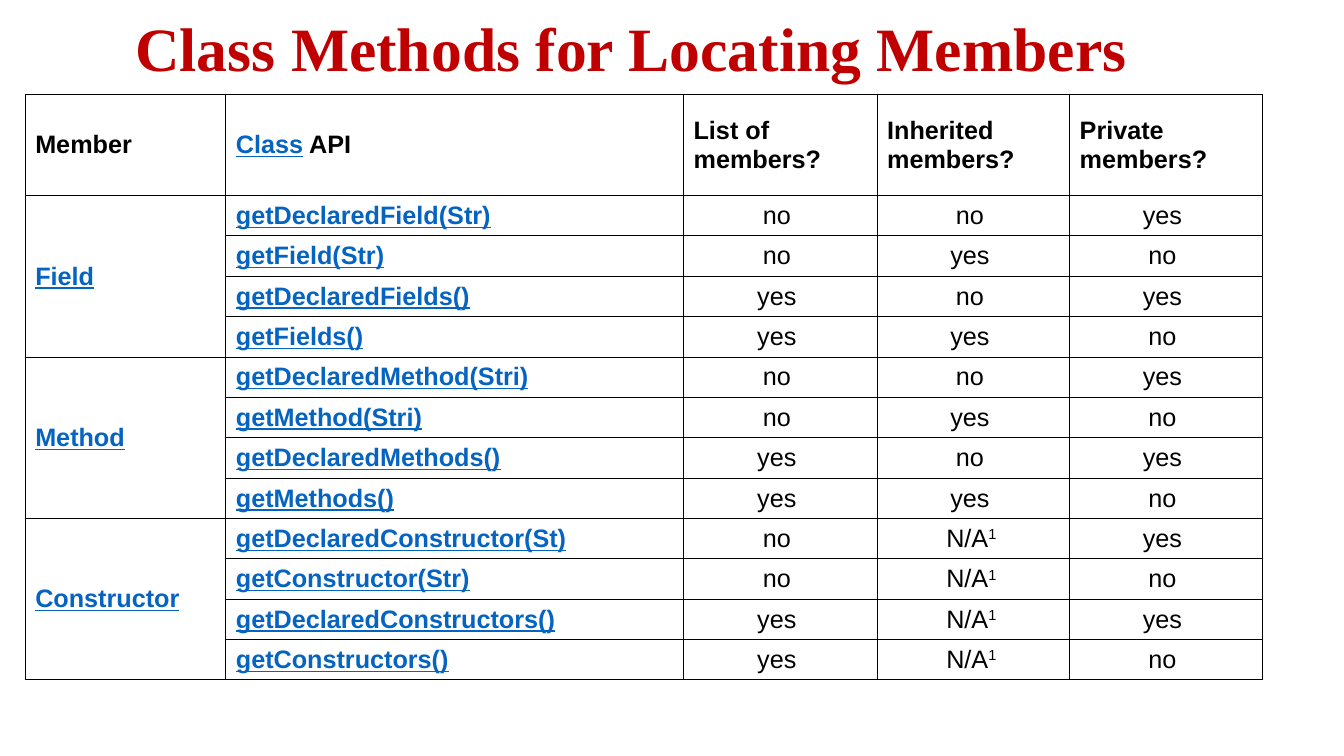
from dataclasses import dataclass

from lxml.etree import SubElement
from pptx import Presentation
from pptx.dml.color import RGBColor
from pptx.enum.text import MSO_ANCHOR, MSO_AUTO_SIZE, PP_ALIGN
from pptx.oxml.ns import qn
from pptx.slide import Slide
from pptx.table import Table, _Cell
from pptx.util import Emu, Pt

COLORS = {"title": "C00000", "text": "000000", "link": "0563C1", "border": "000000"}
EMU_PER_PX = 9144  # 100 px to the inch
COLUMN_WIDTHS = (199, 454, 192, 191, 191)
HEADER_HEIGHT, ROW_HEIGHT = 100, 40


@dataclass(frozen=True)
class Span:
    text: str
    link: bool = False
    superscript: bool = False


@dataclass(frozen=True)
class MemberGroup:
    name: str
    methods: tuple[str, ...]
    has_inheritance: bool = True


@dataclass(frozen=True)
class Access:
    lists_members: bool
    inherited: bool
    private: bool


HEADERS = (
    (Span("Member"),),
    (Span("Class", link=True), Span(" API")),
    (Span("List of members?"),),
    (Span("Inherited members?"),),
    (Span("Private members?"),),
)
GROUPS = (
    MemberGroup("Field", ("getDeclaredField(Str)", "getField(Str)",
                          "getDeclaredFields()", "getFields()")),
    MemberGroup("Method", ("getDeclaredMethod(Stri)", "getMethod(Stri)",
                           "getDeclaredMethods()", "getMethods()")),
    MemberGroup("Constructor", ("getDeclaredConstructor(St)", "getConstructor(Str)",
                                "getDeclaredConstructors()", "getConstructors()"),
                has_inheritance=False),
)
# Every group offers its four methods in this order
ACCESS_PATTERN = (
    Access(lists_members=False, inherited=False, private=True),
    Access(lists_members=False, inherited=True, private=False),
    Access(lists_members=True, inherited=False, private=True),
    Access(lists_members=True, inherited=True, private=False),
)


def px(length: int) -> Emu:
    return Emu(length * EMU_PER_PX)


def color(name: str) -> RGBColor:
    return RGBColor.from_string(COLORS[name])


def link_spans(text: str) -> tuple[Span, ...]:
    return Span(text, link=True), Span(" ")


def answer_spans(answer: bool) -> tuple[Span, ...]:
    return (Span("yes " if answer else "no "),)


def add_borders(cell: _Cell) -> None:
    properties = cell._tc.get_or_add_tcPr()
    for position, side in enumerate(("a:lnL", "a:lnR", "a:lnT", "a:lnB")):
        line = SubElement(properties, qn(side), w=str(Pt(0.75)))
        fill = SubElement(line, qn("a:solidFill"))
        SubElement(fill, qn("a:srgbClr"), val=COLORS["border"])
        properties.insert(position, line)


def write_cell(cell: _Cell, spans: tuple[Span, ...], bold: bool = True,
               alignment: PP_ALIGN = PP_ALIGN.LEFT) -> None:
    cell.vertical_anchor = MSO_ANCHOR.MIDDLE
    paragraph = cell.text_frame.paragraphs[0]
    paragraph.alignment = alignment
    paragraph.font.name = "Arial"
    paragraph.font.size = Pt(18)
    paragraph.font.bold = bold
    for span in spans:
        run = paragraph.add_run()
        run.text = span.text
        run.font.color.rgb = color("link" if span.link else "text")
        if span.link:
            run.font.underline = True
        if span.superscript:
            run._r.get_or_add_rPr().set("baseline", "30000")


def add_title(slide: Slide) -> None:
    title = slide.shapes.title
    title.left, title.top, title.width, title.height = px(120), px(4), px(1028), px(84)
    frame = title.text_frame
    frame.word_wrap = False
    frame.auto_size = MSO_AUTO_SIZE.SHAPE_TO_FIT_TEXT
    frame.vertical_anchor = MSO_ANCHOR.MIDDLE
    frame.text = "Class Methods for Locating Members "
    paragraph = frame.paragraphs[0]
    paragraph.alignment = PP_ALIGN.CENTER
    paragraph.font.name = "Times New Roman"
    paragraph.font.size = Pt(44)
    paragraph.font.bold = True
    paragraph.font.color.rgb = color("title")


def add_grid(slide: Slide) -> Table:
    method_count = sum(len(group.methods) for group in GROUPS)
    table = slide.shapes.add_table(
        method_count + 1, len(COLUMN_WIDTHS), px(25), px(94), px(sum(COLUMN_WIDTHS)),
        px(HEADER_HEIGHT + method_count * ROW_HEIGHT)).table
    table.first_row = False
    table.horz_banding = False
    for column, width in zip(table.columns, COLUMN_WIDTHS):
        column.width = px(width)
    for index, row in enumerate(table.rows):
        row.height = px(ROW_HEIGHT if index else HEADER_HEIGHT)
    for cell in table.iter_cells():
        cell.fill.background()
        add_borders(cell)
    return table


def fill_group(table: Table, group: MemberGroup, first_row: int) -> None:
    member_cell = table.cell(first_row, 0)
    member_cell.merge(table.cell(first_row + len(group.methods) - 1, 0))
    write_cell(member_cell, link_spans(group.name))
    rows = zip(group.methods, ACCESS_PATTERN)
    for row, (method, access) in enumerate(rows, start=first_row):
        write_cell(table.cell(row, 1), link_spans(method))
        inherited = (answer_spans(access.inherited) if group.has_inheritance
                     else (Span("N/A"), Span("1 ", superscript=True)))
        answers = (answer_spans(access.lists_members), inherited,
                   answer_spans(access.private))
        for column, spans in enumerate(answers, start=2):
            write_cell(table.cell(row, column), spans, bold=False,
                       alignment=PP_ALIGN.CENTER)


def main() -> None:
    presentation = Presentation()
    presentation.slide_width, presentation.slide_height = px(1333), px(750)
    slide = presentation.slides.add_slide(presentation.slide_layouts[5])
    add_title(slide)

    # Header row, then one block of rows per kind of member
    table = add_grid(slide)
    for column, spans in enumerate(HEADERS):
        write_cell(table.cell(0, column), spans)
    first_row = 1
    for group in GROUPS:
        fill_group(table, group, first_row)
        first_row += len(group.methods)

    presentation.save("out.pptx")


if __name__ == "__main__":
    main()
